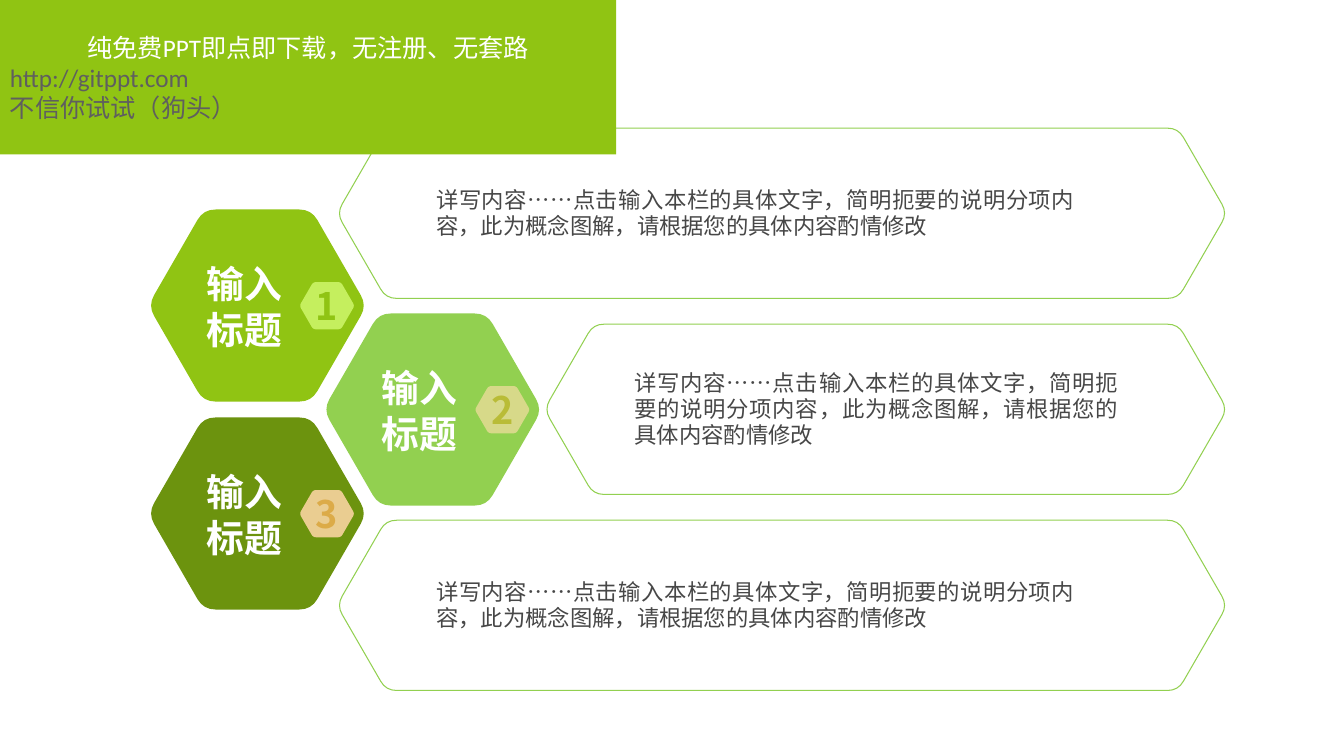
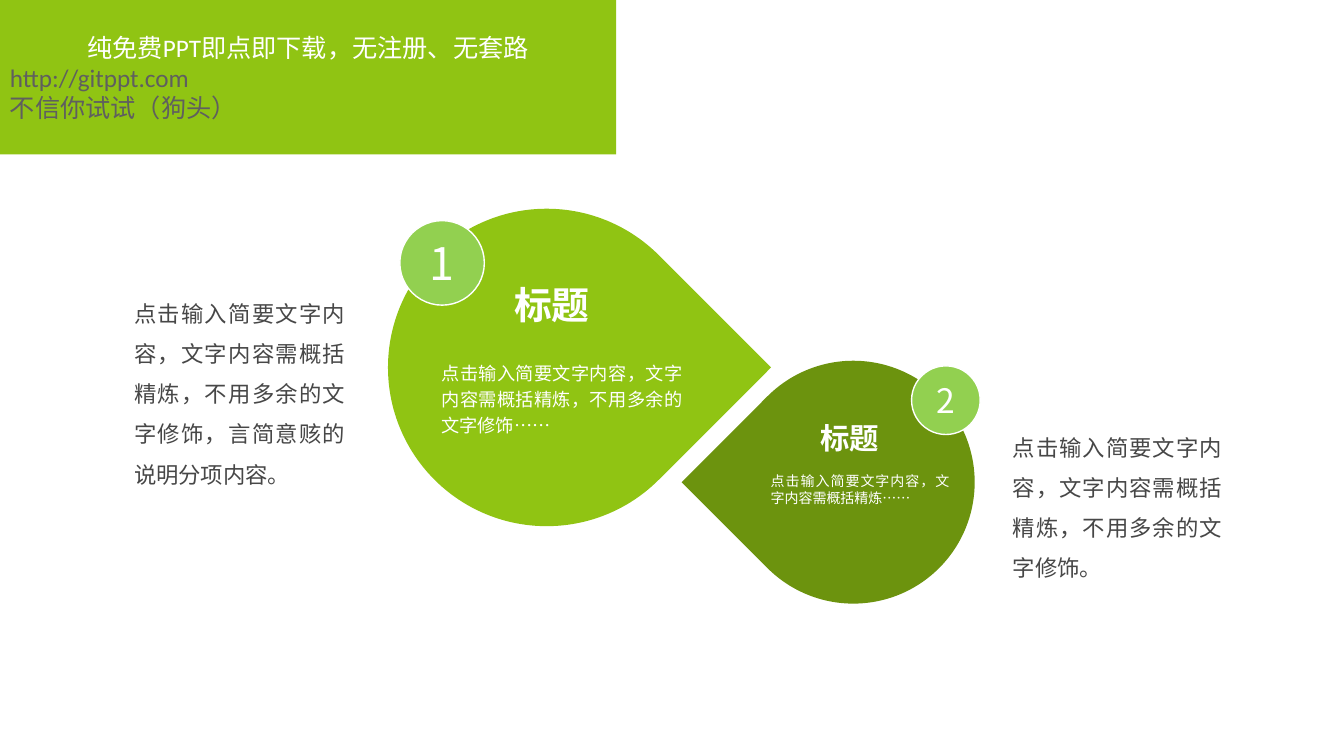
from math import sqrt

from lxml import etree
from pptx import Presentation
from pptx import util as u
from pptx.dml.color import RGBColor
from pptx.enum import shapes, text
from pptx.oxml.ns import qn

Cm = u.Cm
HUES = {
    "lime": "90C413", "leaf": "92D050", "moss": "6C930E", "white": "FFFFFF",
    "ink": "474747", "gray": "5F5F5F", "pale": "C5EF5E", "sand": "D7D989",
    "olive": "B9BC37", "peach": "EACD91", "amber": "DCAB48",
}
FACE = "Noto Sans CJK SC"
LEFT, MID, FULL = (text.PP_ALIGN.LEFT, text.PP_ALIGN.CENTER,
                   text.PP_ALIGN.JUSTIFY)
LEAD = u.Pt(18.6)
FRAME = {
    "margin_left": 0, "margin_right": 0, "margin_top": 0, "margin_bottom": 0,
    "word_wrap": True, "auto_size": text.MSO_AUTO_SIZE.NONE,
    "vertical_anchor": text.MSO_ANCHOR.MIDDLE,
}
HEAD = [("纯免费PPT即点即下载，无注册、无套路", "white", MID),
        ("http://gitppt.com", "gray", LEFT),
        ("不信你试试（狗头）", "gray", LEFT)]
DETAIL = "详写内容……点击输入本栏的具体文字，简明扼要的说明分项内容，此为概念图解，请根据您的具体内容酌情修改"


# Shared helpers
def apply(item, form):
    for key, value in form.items():
        setattr(item, key, value)


def hue(name):
    return RGBColor.from_string(HUES[name])


def write(par, words, size, color, align, bold=False, lead=None, face=FACE):
    apply(par, {"alignment": align, "line_spacing": lead})
    run = par.add_run()
    run.text = words
    apply(run.font, {"size": u.Pt(size), "bold": bold, "name": face})
    run.font.color.rgb = hue(color)
    etree.SubElement(run.font._element, qn("a:ea"), typeface=FACE)


def label(slide, box, words, size, color, align, **form):
    frame = slide.shapes.add_textbox(*map(Cm, box)).text_frame
    apply(frame, FRAME)
    write(frame.paragraphs[0], words, size, color, align, **form)


def paint(shape, fill=None, line=None, width=1):
    shape.shadow.inherit = False
    if fill:
        shape.fill.solid()
        shape.fill.fore_color.rgb = hue(fill)
    else:
        shape.fill.background()
    if line:
        shape.line.color.rgb = hue(line)
        shape.line.width = u.Pt(width)
    else:
        shape.line.fill.background()
    return shape


def hexagon(slide, box, **look):
    """Hexagon with 60-degree sides and softly rounded corners."""
    x, y, w, h = box
    cut = h / 16
    left, right = x - cut / 4, x + w + cut / 4
    slant = h / 2 / sqrt(3)
    ends = [(left, y + h / 2), (left + slant, y), (right - slant, y),
            (right, y + h / 2), (right - slant, y + h), (left + slant, y + h)]

    def near(a, b):
        part = cut / sqrt((b[0] - a[0]) ** 2 + (b[1] - a[1]) ** 2)
        return [p + (q - p) * part for p, q in zip(a, b)]

    dots = []
    for i, top in enumerate(ends):
        start, stop = near(top, ends[i - 1]), near(top, ends[(i + 1) % 6])
        for t in (0, 0.25, 0.5, 0.75, 1):
            dots.append([Cm((1 - t) ** 2 * a + 2 * t * (1 - t) * b + t * t * c)
                         for a, b, c in zip(start, top, stop)])
    path = slide.shapes.build_freeform(*dots[0], scale=1.0)
    path.add_line_segments(dots[1:], close=True)
    return paint(path.convert_to_shape(), **look)


def banner(slide, box):
    title = slide.shapes.title
    apply(title, dict(zip(("left", "top", "width", "height"), map(Cm, box))))
    title.fill.solid()
    title.fill.fore_color.rgb = hue("lime")
    frame = title.text_frame
    apply(frame, {**FRAME, "margin_left": Cm(0.25), "margin_right": Cm(0.25)})
    for i, (words, color, align) in enumerate(HEAD):
        par = frame.add_paragraph() if i else frame.paragraphs[0]
        write(par, words, 18, color, align, face="Calibri")
    # The band lies over the other parts
    title.element.getparent().append(title.element)


# Hexagon slide
def node(slide, box, num, fill, tint, tone):
    x, y = box[:2]
    hexagon(slide, box, fill=fill)
    label(slide, (x + 1.17, y + 1.3, 2.36, 2.29), "输入标题", 27, "white", MID,
          bold=True)
    frame = hexagon(slide, (x + 3.76, y + 1.83, 1.35, 1.19),
                    fill=tint).text_frame
    apply(frame, FRAME)
    write(frame.paragraphs[0], num, 27, tone, MID, bold=True)


def panel(slide, box, inset, wide, rows):
    x, y, w, h = box
    hexagon(slide, box, line="leaf", width=0.75)
    tall = rows * LEAD.cm
    label(slide, (x + inset, y + (h - tall) / 2, wide, tall), DETAIL, 16,
          "ink", FULL, lead=LEAD)


def hexes(slide):
    cells = [(3.81, "lime", "pale", "lime"), (8.23, "leaf", "sand", "olive"),
             (3.81, "moss", "peach", "amber")]
    for i, (x, *tones) in enumerate(cells):
        node(slide, (x, 5.28 + 2.62 * i, 5.36, 4.84), str(i + 1), *tones)
    side = 30.87
    rows = [(8.56, 2.44, 16.1, 2), (13.79, 2.21, 12.19, 3),
            (8.56, 2.44, 16.1, 2)]
    for i, (x, *fit) in enumerate(rows):
        panel(slide, (x, 3.23 + 4.94 * i, side - x, 4.29), *fit)


# Drop slide
def drop(slide, spot, wide, turn, fill, head, body, disc):
    x, y = spot

    def place(box):
        return (x + box[0], y + box[1], *box[2:])

    kinds = shapes.MSO_SHAPE
    tear = paint(slide.shapes.add_shape(
        kinds.TEAR, *map(Cm, (x, y, wide, wide))), fill)
    tear.rotation = turn
    box, size = head
    label(slide, place(box), "标题", size, "white", MID, bold=True)
    box, words, size, lead = body
    label(slide, place(box), words, size, "white", FULL, lead=lead)
    box, num, size = disc
    ball = paint(slide.shapes.add_shape(kinds.OVAL, *map(Cm, place(box))),
                 "leaf", "white")
    apply(ball.text_frame, FRAME)
    write(ball.text_frame.paragraphs[0], num, size, "white", MID)


def drops(slide):
    drop(slide, (9.78, 5.26), 8, 45, "lime",
         ((2.84, 1.67, 2.59, 1.47), 27),
         ((1.35, 3.76, 6.07, 1.98),
          "点击输入简要文字内容，文字内容需概括精炼，不用多余的文字修饰……", 13, LEAD),
         ((0.3, 0.3, 2.13, 2.13), "1", 32))
    drop(slide, (18.45, 9.09), 6.12, 225, "moss",
         ((1.89, 1.32, 2.16, 1.22), 21),
         ((0.98, 2.82, 4.5, 0.84),
          "点击输入简要文字内容，文字内容需概括精炼……", 10, None),
         ((4.53, 0.13, 1.73, 1.73), "2", 24))
    notes = [
        ((3.38, 7.21, 5.33, 5.08),
         "点击输入简要文字内容，文字内容需概括精炼，不用多余的文字修饰，言简意赅的说明分项内容。"),
        ((25.53, 10.59, 5.28, 4.06),
         "点击输入简要文字内容，文字内容需概括精炼，不用多余的文字修饰。"),
    ]
    for box, words in notes:
        label(slide, box, words, 16, "ink", FULL, lead=1.5)


def main():
    deck = Presentation()
    apply(deck, {"slide_width": Cm(33.88), "slide_height": Cm(19.05)})
    for build in (hexes, drops):
        slide = deck.slides.add_slide(deck.slide_layouts[5])
        build(slide)
        banner(slide, (0, 0, 15.53, 3.89))
    deck.save("out.pptx")


if __name__ == "__main__":
    main()
